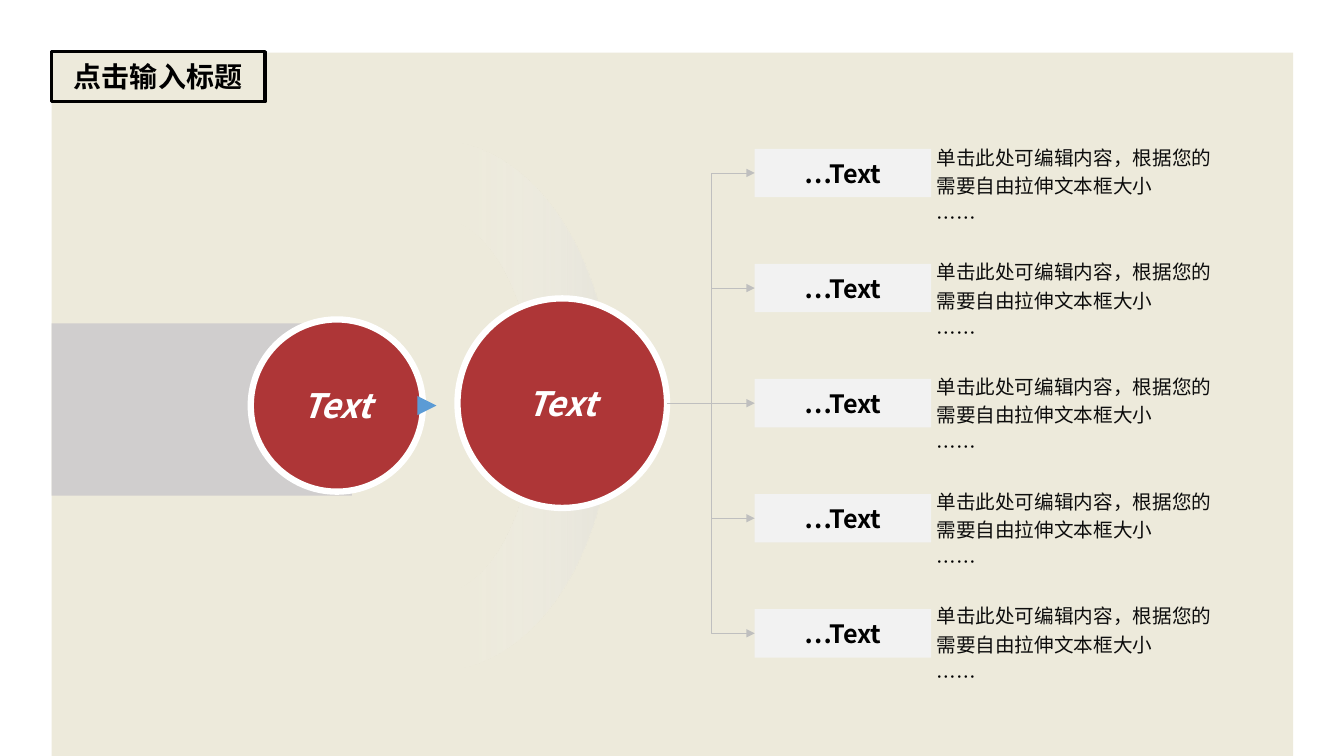
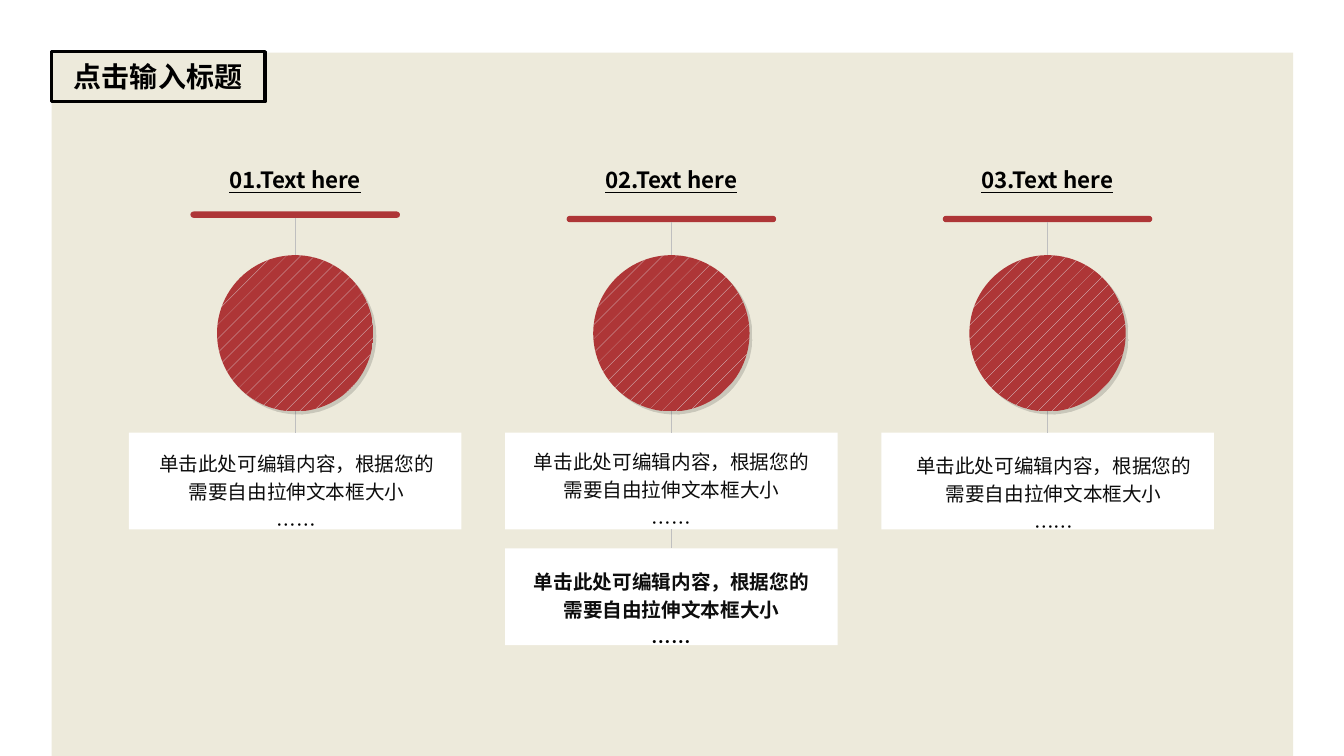
from dataclasses import dataclass
from itertools import pairwise
from typing import Optional

from lxml import etree
from pptx import Presentation
from pptx.dml.color import RGBColor
from pptx.enum.dml import MSO_PATTERN
from pptx.enum.lang import MSO_LANGUAGE_ID
from pptx.enum.shapes import MSO_CONNECTOR, MSO_SHAPE
from pptx.enum.text import MSO_ANCHOR, PP_ALIGN
from pptx.oxml.ns import qn
from pptx.shapes.autoshape import Shape
from pptx.shapes.connector import Connector
from pptx.slide import Slide
from pptx.util import Cm, Pt

# Colours and type
WHITE = RGBColor(0xFF, 0xFF, 0xFF)
BLACK = RGBColor(0x00, 0x00, 0x00)
BODY_INK = RGBColor(0x0D, 0x0D, 0x0D)
CREAM = RGBColor(0xED, 0xEA, 0xDB)
RED = RGBColor(0xAE, 0x36, 0x37)
BLUE = RGBColor(0x5B, 0x9B, 0xD5)
BAND_GREY = RGBColor(0xD0, 0xCE, 0xCE)
GLOW_GREY = RGBColor(0xD9, 0xD9, 0xD9)
LABEL_GREY = RGBColor(0xF2, 0xF2, 0xF2)
LINE_GREY = RGBColor(0xBF, 0xBF, 0xBF)
HATCH_GREY = RGBColor(0xE4, 0xE6, 0xEA)
FONT = "Noto Sans CJK JP"

# Enum members
RECTANGLE = MSO_SHAPE.RECTANGLE
ROUNDED = MSO_SHAPE.ROUNDED_RECTANGLE
OVAL = MSO_SHAPE.OVAL
DONUT = MSO_SHAPE.DONUT
TRIANGLE = MSO_SHAPE.FLOWCHART_EXTRACT
STRAIGHT = MSO_CONNECTOR.STRAIGHT
ELBOW = MSO_CONNECTOR.ELBOW
LEFT, CENTER = PP_ALIGN.LEFT, PP_ALIGN.CENTER
TOP, MIDDLE = MSO_ANCHOR.TOP, MSO_ANCHOR.MIDDLE
CHINESE = MSO_LANGUAGE_ID.SIMPLIFIED_CHINESE
DOTTED = MSO_PATTERN.PERCENT_5
SITE_TOP, SITE_LEFT, SITE_BOTTOM = 0, 1, 2

# Wording
TITLE = "点击输入标题"
BODY = "单击此处可编辑内容，根据您的需要自由拉伸文本框大小"
ELLIPSIS = "……"


@dataclass(frozen=True)
class Box:
    """Left, top, width and height in centimetres."""
    left: float
    top: float
    width: float
    height: float

    def lengths(self) -> tuple[Cm, Cm, Cm, Cm]:
        return Cm(self.left), Cm(self.top), Cm(self.width), Cm(self.height)


@dataclass(frozen=True)
class TextStyle:
    size: float
    color: RGBColor = BLACK
    bold: bool = False
    italic: bool = False
    underline: bool = False


@dataclass(frozen=True)
class BodyText:
    left: float
    top: float
    bold: bool = False


@dataclass(frozen=True)
class Column:
    heading: str
    bar_top: float
    texts: tuple[BodyText, ...]


TITLE_STYLE = TextStyle(20, bold=True)
CIRCLE_STYLE = TextStyle(24, WHITE, bold=True, italic=True)
LABEL_STYLE = TextStyle(18, bold=True)
HEADING_STYLE = TextStyle(16, bold=True, underline=True)

# First slide: five rows beside the large circle
ROW_COUNT = 5
ROW_MIDDLE = 10.16
ROW_PITCH = 2.9
NOTE_PITCH = 2.89
SMALL_CIRCLE = Box(6.32, 8.05, 4.34, 4.34)
LARGE_CIRCLE = Box(11.53, 7.52, 5.28, 5.28)

# Second slide: three columns
FIRST_CENTER, COLUMN_PITCH = 7.44, 9.48
CARD_TOP, CARD_PITCH = 10.9, 2.92
COLUMNS = (
    Column("01.Text here", 5.33, (BodyText(3.73, 11.15),)),
    Column("02.Text here", 5.44,
           (BodyText(13.18, 11.1), BodyText(13.18, 14.12, bold=True))),
    Column("03.Text here", 5.44, (BodyText(22.81, 11.2),)),
)


def add_text(shape: Shape, paragraph_index: int, text: str, style: TextStyle,
             alignment: PP_ALIGN = CENTER) -> None:
    """Write one run into the given paragraph, adding it if needed."""
    frame = shape.text_frame
    paragraph = frame.add_paragraph() if paragraph_index else frame.paragraphs[0]
    paragraph.alignment = alignment
    run = paragraph.add_run()
    run.text = text
    font = run.font
    font.name, font.size = FONT, Pt(style.size)
    font.bold, font.italic = style.bold, style.italic
    font.underline = style.underline
    font.color.rgb = style.color
    font.language_id = CHINESE
    east_asian = etree.SubElement(run._r.get_or_add_rPr(), qn("a:ea"))
    east_asian.set("typeface", FONT)


def add_shape(slide: Slide, kind: MSO_SHAPE, box: Box,
              fill: Optional[RGBColor] = None, line: Optional[RGBColor] = None,
              line_width: float = 0) -> Shape:
    shape = slide.shapes.add_shape(kind, *box.lengths())
    shape.shadow.inherit = False
    if fill is None:
        shape.fill.background()
    else:
        shape.fill.solid()
        shape.fill.fore_color.rgb = fill
    if line is None:
        shape.line.fill.background()
    else:
        shape.line.color.rgb = line
        shape.line.width = Pt(line_width)
    shape.text_frame.vertical_anchor = MIDDLE
    return shape


def add_text_box(slide: Slide, box: Box, anchor: MSO_ANCHOR = TOP) -> Shape:
    shape = slide.shapes.add_textbox(*box.lengths())
    shape.text_frame.word_wrap = True
    shape.text_frame.vertical_anchor = anchor
    return shape


def add_body(slide: Slide, box: Box, alignment: PP_ALIGN,
             bold: bool = False, inset: bool = True) -> None:
    shape = add_text_box(slide, box)
    frame = shape.text_frame
    if not inset:
        frame.margin_left = frame.margin_right = Cm(0)
        frame.margin_top = frame.margin_bottom = Cm(0)
    add_text(shape, 0, BODY, TextStyle(14, BODY_INK, bold), alignment)
    add_text(shape, 1, ELLIPSIS, TextStyle(14, BLACK, bold), alignment)
    for paragraph in frame.paragraphs:
        paragraph.line_spacing = 1.2
    frame.paragraphs[1].space_before = Pt(2.8)


def add_line(slide: Slide, kind: MSO_CONNECTOR, begin_x: float, begin_y: float,
             end_x: float, end_y: float, arrow: bool = False) -> Connector:
    connector = slide.shapes.add_connector(
        kind, Cm(begin_x), Cm(begin_y), Cm(end_x), Cm(end_y))
    connector.line.color.rgb = LINE_GREY
    connector.line.width = Pt(0.25)
    properties = connector._element.spPr
    if arrow:
        tail = etree.SubElement(properties.find(qn("a:ln")), qn("a:tailEnd"))
        tail.set("type", "triangle")
    etree.SubElement(properties, qn("a:effectLst"))
    return connector


def set_alpha(color: etree._Element, percent: int) -> None:
    etree.SubElement(color, qn("a:alpha")).set("val", str(percent * 1000))


def add_glow(slide: Slide) -> None:
    """Ring that fades out towards the left."""
    glow = add_shape(slide, DONUT, Box(4.29, 5.79, 13.36, 8.86))
    glow.rotation = 90
    glow.adjustments[0] = 0.22
    glow.fill.gradient()
    glow.fill.gradient_angle = 90
    stops = ((0.57, WHITE, 0), (1.0, GLOW_GREY, 39))
    for stop, (position, color, _) in zip(glow.fill.gradient_stops, stops):
        stop.position = position
        stop.color.rgb = color
    colors = glow._element.spPr.iter(qn("a:srgbClr"))
    for color, (_, _, alpha) in zip(list(colors), stops):
        set_alpha(color, alpha)


def add_hatched_circle(slide: Slide, box: Box) -> None:
    circle = add_shape(slide, OVAL, box)
    circle.fill.patterned()
    circle.fill.pattern = DOTTED
    circle.fill.fore_color.rgb = HATCH_GREY
    circle.fill.back_color.rgb = RED
    effects = circle._element.spPr.find(qn("a:effectLst"))
    shadow = etree.SubElement(effects, qn("a:outerShdw"))
    settings = {"blurRad": "0", "dist": str(int(Pt(3))), "dir": str(45 * 60000),
                "algn": "tl", "rotWithShape": "0"}
    for name, value in settings.items():
        shadow.set(name, value)
    color = etree.SubElement(shadow, qn("a:srgbClr"))
    color.set("val", str(BLACK))
    set_alpha(color, 15)


def add_base_slide(presentation: Presentation) -> Slide:
    """Blank slide with the cream panel and the framed title."""
    slide = presentation.slides.add_slide(presentation.slide_layouts[6])
    add_shape(slide, RECTANGLE, Box(1.3, 1.33, 31.29, 17.72), CREAM)
    add_shape(slide, RECTANGLE, Box(1.3, 1.3, 5.38, 1.27),
              line=BLACK, line_width=2.25)
    title = add_text_box(slide, Box(1.57, 1.37, 4.83, 1.12))
    add_text(title, 0, TITLE, TITLE_STYLE)
    return slide


def build_branch_slide(presentation: Presentation) -> None:
    slide = add_base_slide(presentation)

    # Band, circles and arrow
    add_glow(slide)
    add_shape(slide, RECTANGLE, Box(1.3, 8.15, 7.57, 4.34), BAND_GREY)
    for box in (SMALL_CIRCLE, LARGE_CIRCLE):
        circle = add_shape(slide, OVAL, box, RED, WHITE, 4.5)
        add_text(circle, 0, "Text", CIRCLE_STYLE)
    arrow = add_shape(slide, TRIANGLE, Box(10.52, 9.98, 0.48, 0.48), BLUE)
    arrow.rotation = 90

    # Labels, branches and notes
    label_left, label_height = 19.02, 1.22
    branch_left = LARGE_CIRCLE.left + LARGE_CIRCLE.width
    for row in range(ROW_COUNT):
        offset = row - ROW_COUNT // 2
        middle = ROW_MIDDLE + offset * ROW_PITCH
        label = add_shape(
            slide, RECTANGLE,
            Box(label_left, middle - label_height / 2, 4.45, label_height),
            LABEL_GREY)
        add_text(label, 0, "…Text", LABEL_STYLE)
        branch = add_line(slide, ELBOW if offset else STRAIGHT, branch_left,
                          ROW_MIDDLE, label_left, middle, arrow=True)
        branch.end_connect(label, SITE_LEFT)
        add_body(slide, Box(23.6, 3.55 + row * NOTE_PITCH, 7.01, 2.18),
                 LEFT, inset=False)


def build_column_slide(presentation: Presentation) -> None:
    slide = add_base_slide(presentation)
    for index, column in enumerate(COLUMNS):
        center = FIRST_CENTER + index * COLUMN_PITCH

        # Heading and bar
        heading = add_text_box(slide, Box(center - 2.19, 3.91, 4.37, 1.24), MIDDLE)
        add_text(heading, 0, column.heading, HEADING_STYLE)
        bar = add_shape(slide, ROUNDED,
                        Box(center - 2.64, column.bar_top, 5.28, 0.16), RED)
        bar.adjustments[0] = 0.5

        # Cards, joined from the bar downwards
        chain = [bar]
        for position, text in enumerate(column.texts):
            top = CARD_TOP + position * CARD_PITCH
            chain.append(add_shape(slide, RECTANGLE,
                                   Box(center - 4.19, top, 8.38, 2.44), WHITE))
            add_body(slide, Box(text.left, text.top, 7.49, 2.54),
                     CENTER, text.bold)
        for upper, lower in pairwise(chain):
            stem = add_line(slide, STRAIGHT, center, 0, center, 0)
            stem.begin_connect(upper, SITE_BOTTOM)
            stem.end_connect(lower, SITE_TOP)
        add_hatched_circle(slide, Box(center - 1.97, 6.43, 3.94, 3.94))


def main() -> None:
    presentation = Presentation()
    presentation.slide_width, presentation.slide_height = Cm(33.87), Cm(19.05)
    build_branch_slide(presentation)
    build_column_slide(presentation)
    presentation.save("out.pptx")


if __name__ == "__main__":
    main()
